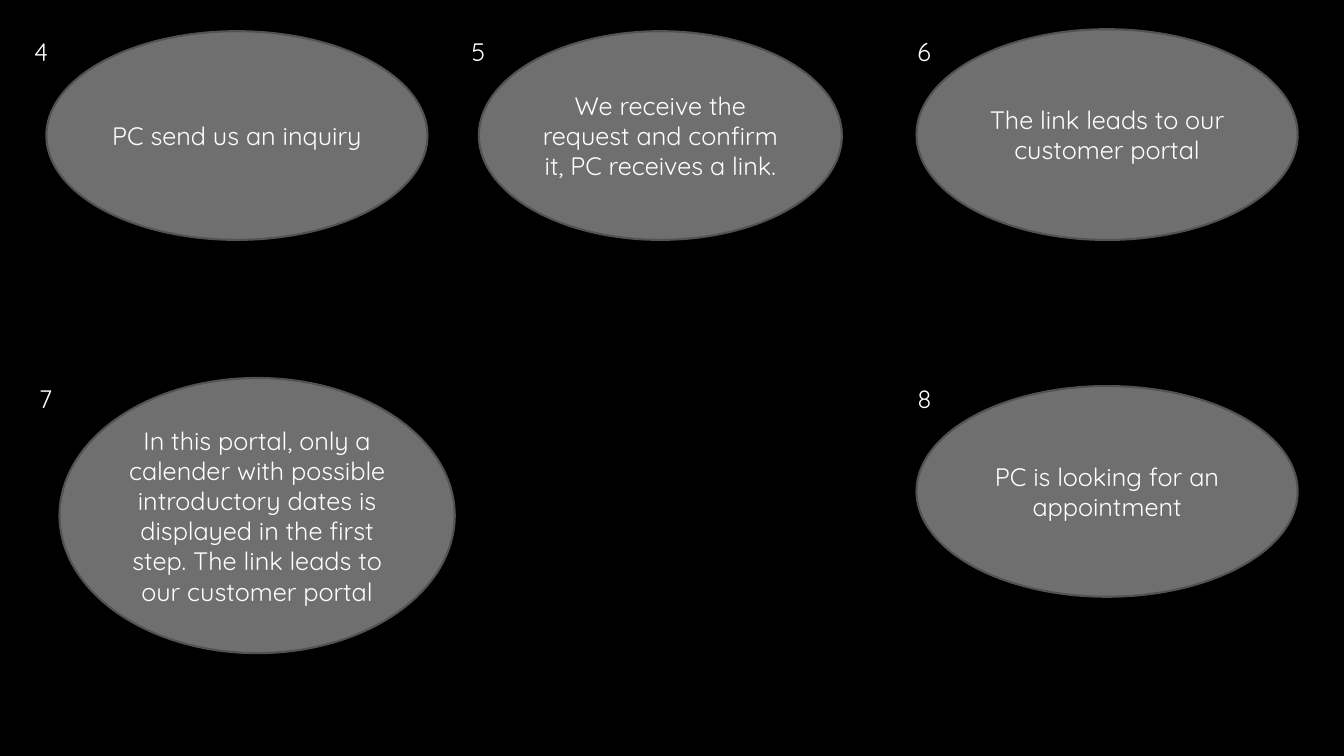
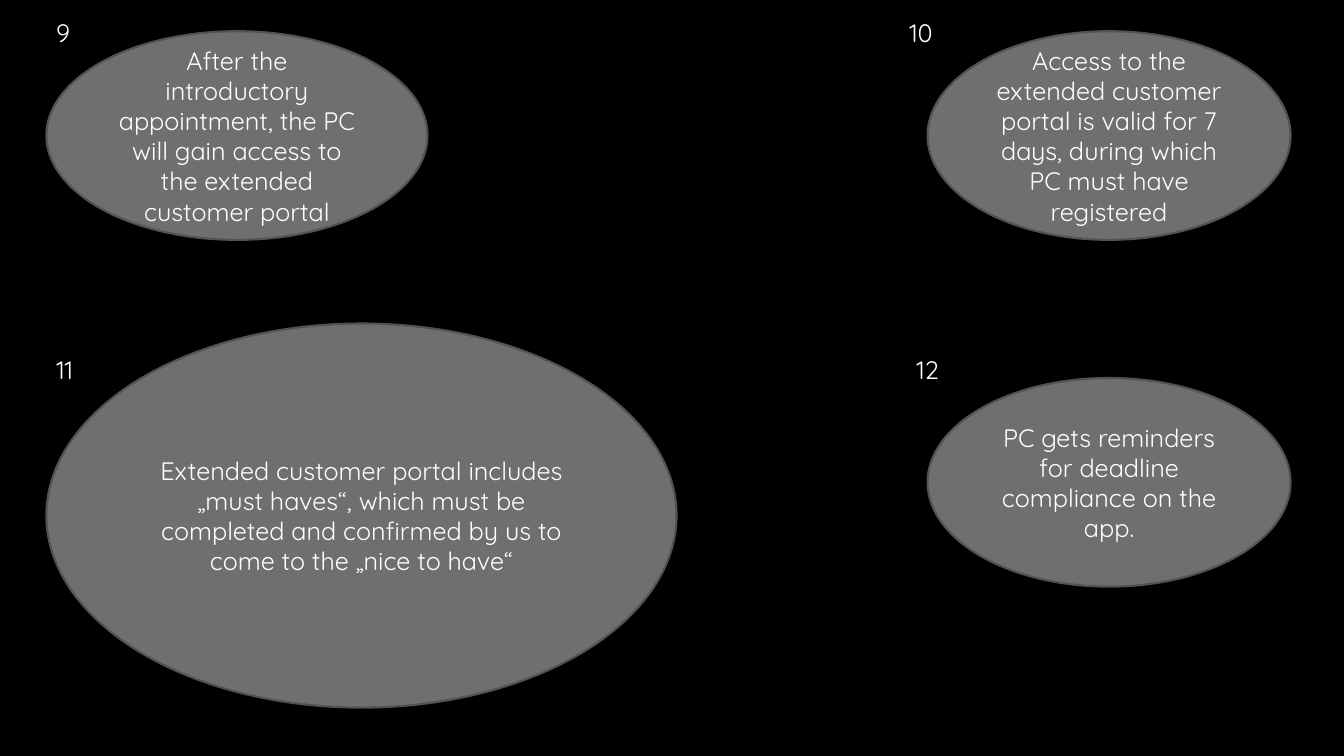
from dataclasses import dataclass

from pptx import Presentation
from pptx.dml.color import RGBColor
from pptx.enum.shapes import MSO_SHAPE as Shape
from pptx.enum.text import MSO_ANCHOR as Anchor, MSO_AUTO_SIZE as AutoSize, PP_ALIGN as Align
from pptx.util import Inches, Pt


@dataclass(frozen=True)
class Theme:
    background: RGBColor = RGBColor(0x00, 0x00, 0x00)
    bubble: RGBColor = RGBColor(0x6F, 0x6F, 0x6F)
    outline: RGBColor = RGBColor(0x52, 0x52, 0x52)
    text: RGBColor = RGBColor(0xFF, 0xFF, 0xFF)
    font: str = "Quicksand"
    size: Pt = Pt(18)
    outline_width: Pt = Pt(1.5)


theme = Theme()


def write(frame, text, align=Align.LEFT, anchor=Anchor.TOP, wrap=True, auto_size=AutoSize.NONE):
    frame.auto_size = auto_size
    frame.word_wrap = wrap
    frame.vertical_anchor = anchor
    paragraph = frame.paragraphs[0]
    paragraph.alignment = align
    run = paragraph.add_run()
    run.text = text
    run.font.name = theme.font
    run.font.size = theme.size
    run.font.color.rgb = theme.text


# Bubble sizes and shared positions, in inches
WIDE, NARROW, TALL = (3.78, 2.07), (3.6, 2.07), (3.78, 2.09)
LEFT, TOP, LOWER = 0.46, 0.31, 3.75
NUMBER_HEIGHT = 0.4

# Each step: number, number position, bubble position, bubble size, wording
process = [
    [
        (4, (0.24, TOP), (LEFT, TOP), WIDE, "PC send us an inquiry"),
        (5, (4.58, TOP), (4.75, TOP), NARROW,
         "We receive the request and confirm it, PC receives a link."),
        (6, (9, TOP), (9.09, 0.29), TALL, "The link leads to our customer portal"),
        (7, (0.29, LOWER), (0.59, LOWER), (3.92, 2.73),
         "In this portal, only a calender with possible introductory dates is displayed "
         "in the first step. The link leads to our customer portal"),
        (8, (9, LOWER), (9.09, 3.83), TALL, "PC is looking for an appointment"),
    ],
    [
        (9, (LEFT, 0.12), (LEFT, TOP), WIDE,
         "After the introductory appointment, the PC will gain access to the extended "
         "customer portal"),
        (10, (8.92, 0.12), (9.2, TOP), NARROW,
         "Access to the extended customer portal is valid for 7 days, during which PC "
         "must have registered"),
        (11, (LEFT, 3.47), (LEFT, 3.21), (6.25, 3.81),
         "Extended customer portal includes „must haves“, which must be completed and "
         "confirmed by us to come to the „nice to have“"),
        (12, (8.99, 3.47), (9.2, LOWER), NARROW,
         "PC gets reminders for deadline compliance on the app."),
    ],
]

deck = Presentation()
deck.slide_width, deck.slide_height = Inches(13.33), Inches(7.5)
blank = deck.slide_layouts[6]
master_fill = deck.slide_master.background.fill
master_fill.solid()
master_fill.fore_color.rgb = theme.background

for steps in process:
    slide = deck.slides.add_slide(blank)

    for _, _, position, size, wording in steps:
        bubble = slide.shapes.add_shape(Shape.OVAL, *map(Inches, position + size))
        bubble.shadow.inherit = False
        bubble.fill.solid()
        bubble.fill.fore_color.rgb = theme.bubble
        bubble.line.color.rgb = theme.outline
        bubble.line.width = theme.outline_width
        write(bubble.text_frame, wording, align=Align.CENTER, anchor=Anchor.MIDDLE)

    for number, position, _, _, _ in steps:
        number_size = (0.34 if number < 10 else 0.48, NUMBER_HEIGHT)
        label = slide.shapes.add_textbox(*map(Inches, position + number_size))
        write(label.text_frame, str(number), wrap=False, auto_size=AutoSize.SHAPE_TO_FIT_TEXT)

deck.save("out.pptx")
